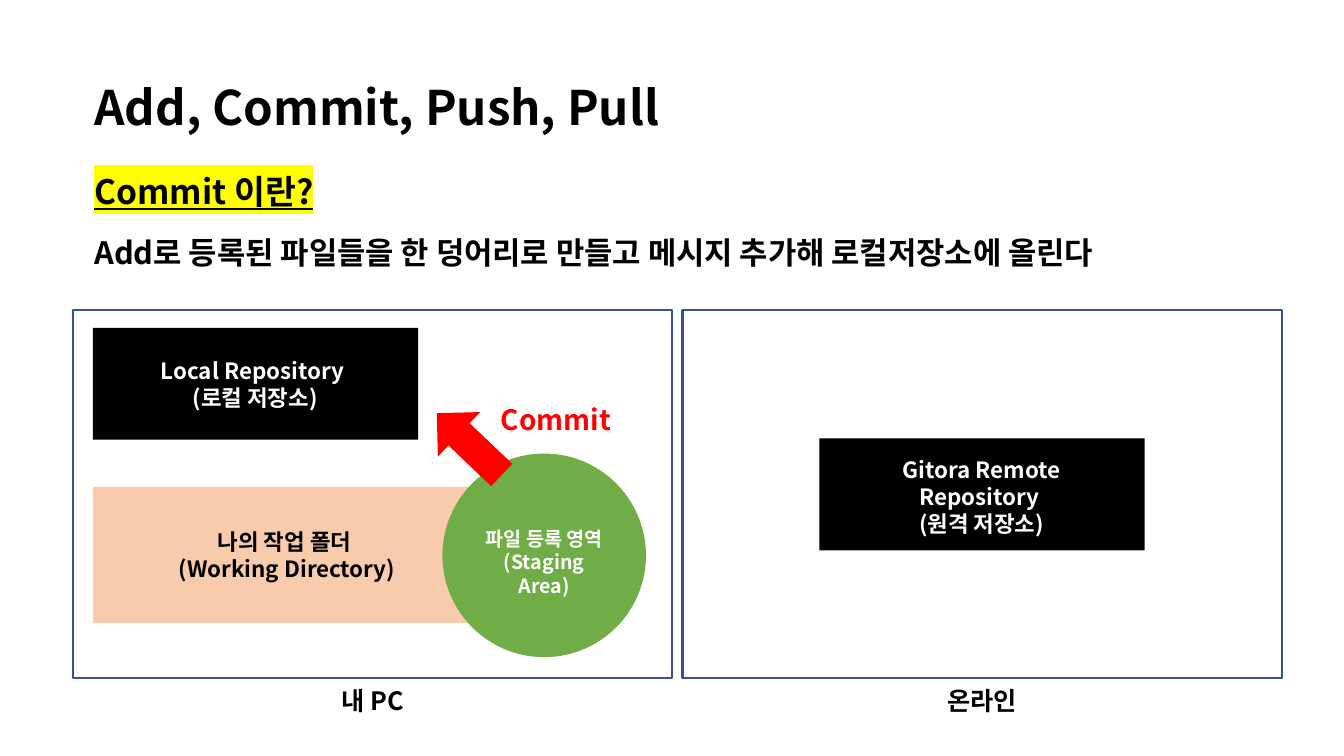
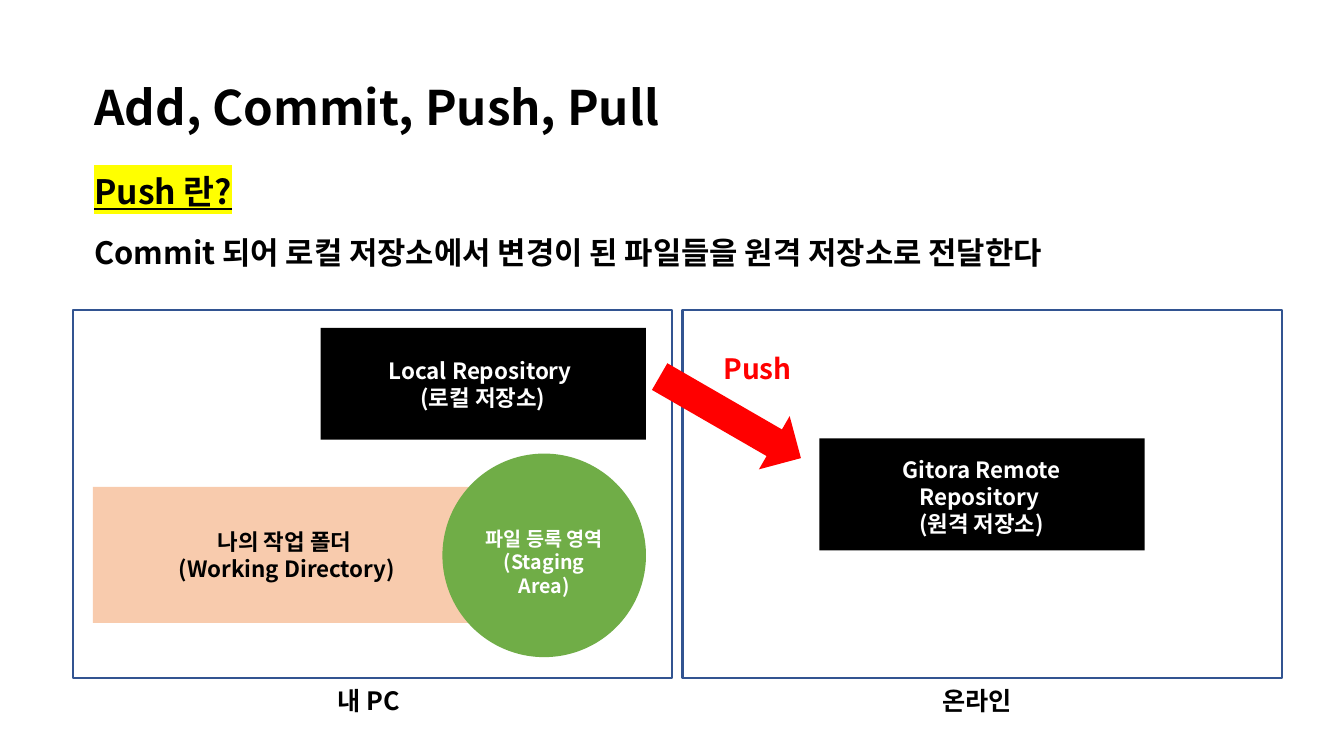
from lxml import etree
from pptx import Presentation
from pptx import util as u
from pptx.dml.color import RGBColor
from pptx.enum import shapes, text
from pptx.oxml.ns import qn

FONT = "Noto Sans CJK KR"
COLORS = {"ink": "000000", "paper": "FFFFFF", "mark": "FFFF00", "action": "FF0000",
          "folder": "F8CBAD", "staging": "70AD47", "frame": "325491"}

# Content; positions are in centimetres: left, top, width, height
TITLE = "Add, Commit, Push, Pull"
SLIDES = [
    {"question": "Commit 이란?",
     "answer": "Add로 등록된 파일들을 한 덩어리로 만들고 메시지 추가해 로컬저장소에 올린다",
     "local_left": 2.34, "caption_lefts": (8.36, 23.62),
     "action": "Commit", "action_at": (12.37, 10.03, 3.3, 1.12),
     "arrow_at": (11.05, 10.06, 1.55, 2.26), "arrow_turn": 133.6},
    {"question": "Push 란?",
     "answer": "Commit 되어 로컬 저장소에서 변경이 된 파일들을 원격 저장소로 전달한다",
     "local_left": 8.08, "caption_lefts": (8.26, 23.5),
     "action": "Push", "action_at": (17.98, 8.74, 3.1, 1.12),
     "arrow_at": (17.63, 8.46, 1.55, 4.11), "arrow_turn": 300},
]
LOCAL = ["Local Repository ", "(로컬 저장소)"]
REMOTE = ["Gitora Remote Repository ", "(원격 저장소)"]
FOLDER = ["나의 작업 폴더 ", "(Working Directory)"]
STAGING = ["파일 등록 영역", "(Staging Area)"]
CAPTIONS = [("내 PC", 2.18), ("온라인", 2.44)]

# Shared layout
TEXT_LEFT = 2.13
REPOSITORY_SIZE = (8.2, 2.82)
FRAME_LEFT, FRAME_TOP, FRAME_WIDTH, FRAME_HEIGHT, FRAME_GAP = 1.83, 7.82, 15.11, 9.27, 0.26
CAPTION_TOP = 17.15


def cm(values):
    return [u.Cm(value) for value in values]


def color(name):
    return RGBColor.from_string(COLORS[name])


def write(frame, lines, size, ink, align=None, mark=None):
    frame.text = "\n".join(lines)
    for para in frame.paragraphs:
        para.alignment = align
        for span in para.runs:
            font = span.font
            font.name, font.size, font.bold = FONT, u.Pt(size), True
            font.color.rgb = color(ink)
            props = span._r.get_or_add_rPr()
            props.find(qn("a:latin")).addnext(
                etree.Element(qn("a:ea"), typeface=FONT))
            if mark:
                font.underline = True
                highlight = etree.Element(qn("a:highlight"))
                etree.SubElement(highlight, qn("a:srgbClr"), val=COLORS[mark])
                props.find(qn("a:solidFill")).addnext(highlight)


def add_text(page, at, line, size, ink="ink", wrap=True, mark=None):
    box = page.shapes.add_textbox(*cm(at))
    frame = box.text_frame
    frame.word_wrap = wrap
    frame.auto_size = text.MSO_AUTO_SIZE.SHAPE_TO_FIT_TEXT
    write(frame, [line], size, ink, mark=mark)


def add_shape(page, kind, at, fill=None, line=None):
    shape = page.shapes.add_shape(kind, *cm(at))
    shape.shadow.inherit = False
    if fill:
        shape.fill.solid()
        shape.fill.fore_color.rgb = color(fill)
    else:
        shape.fill.background()
    if line:
        shape.line.color.rgb = color(line)
        shape.line.width = u.Pt(1.5)
    else:
        shape.line.fill.background()
    return shape


def add_block(page, kind, at, fill, lines, size, ink, insets):
    frame = add_shape(page, kind, at, fill).text_frame
    frame.word_wrap = True
    frame.vertical_anchor = text.MSO_ANCHOR.MIDDLE
    (frame.margin_left, frame.margin_top,
     frame.margin_right, frame.margin_bottom) = cm(insets)
    write(frame, lines, size, ink, text.PP_ALIGN.CENTER)


def build_page(deck, content):
    page = deck.slides.add_slide(deck.slide_layouts[6])
    kinds = shapes.MSO_SHAPE

    # Headings
    add_text(page, (TEXT_LEFT, 1.83, 14.91, 1.7), TITLE, 34, wrap=False)
    add_text(page, (TEXT_LEFT, 4.17, 23.7, 1.27), content["question"], 24, mark="mark")
    add_text(page, (TEXT_LEFT, 5.77, 29.54, 1.19), content["answer"], 22)

    # Frames and their captions
    for index, (caption, width) in enumerate(CAPTIONS):
        left = FRAME_LEFT + index * (FRAME_WIDTH + FRAME_GAP)
        add_shape(page, kinds.RECTANGLE, (left, FRAME_TOP, FRAME_WIDTH, FRAME_HEIGHT),
                  line="frame")
        add_text(page, (content["caption_lefts"][index], CAPTION_TOP, width, 1.02),
                 caption, 18)

    # Repositories
    for lines, left, top, inset_top in ((REMOTE, 20.65, 11.05, 0.1),
                                        (LOCAL, content["local_left"], 8.26, 0)):
        add_block(page, kinds.RECTANGLE, (left, top, *REPOSITORY_SIZE), "ink",
                  lines, 16, "paper", (0.69, inset_top, 0.71, 0))

    # Working folder with its staging area
    add_block(page, kinds.RECTANGLE, (2.34, 12.27, 10.19, 3.43), "folder",
              FOLDER, 16, "ink", (0.84, 0, 1.24, 0))
    add_block(page, kinds.OVAL, (11.15, 11.43, 5.13, 5.13), "staging",
              STAGING, 14, "paper", (0.13, 0.33, 0.13, 0))

    # Action arrow and label
    arrow = add_shape(page, kinds.DOWN_ARROW, content["arrow_at"], "action")
    arrow.rotation = content["arrow_turn"]
    add_text(page, content["action_at"], content["action"], 20, "action", wrap=False)


def main():
    deck = Presentation()
    deck.slide_width, deck.slide_height = cm((33.87, 19.05))
    for content in SLIDES:
        build_page(deck, content)
    deck.save("out.pptx")


if __name__ == "__main__":
    main()
